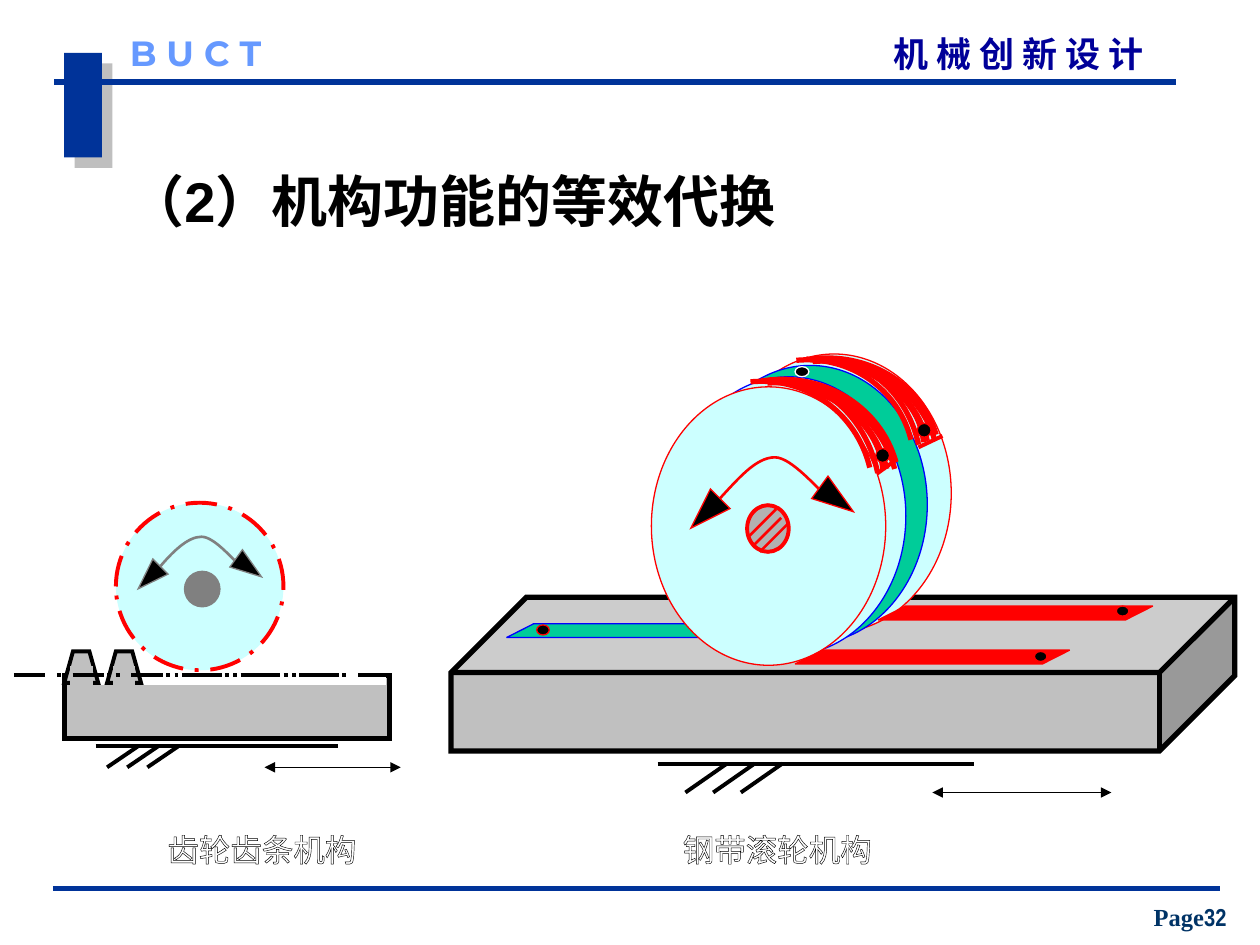
from dataclasses import dataclass

from lxml import etree
from pptx import Presentation
from pptx import util as u
from pptx.dml.color import RGBColor
from pptx.enum import dml, shapes, text
from pptx.oxml.ns import qn

PX = 9144  # EMU in one px, 100 px to the inch
BLACK, WHITE, RED, BLUE = "000000", "FFFFFF", "FF0000", "0000FF"
NAVY, GREY, SILVER, CYAN, GREEN = "003399", "808080", "C0C0C0", "CCFFFF", "00CC99"
CJK = "Noto Sans CJK SC"
Kind = shapes.MSO_SHAPE
Points = list[tuple[float, float]]


@dataclass
class Solid:
    kind: Kind
    x: int
    y: int
    width: int
    height: int
    fill: str
    line: str | None = RED
    weight: float = 0.75
    adjust: float | None = None
    turn: int = 0
    dashed: bool = False


@dataclass
class Span:
    words: str
    size: int
    font: str
    colour: str
    bold: bool = True
    outline: bool = False


@dataclass
class Label:
    x: int
    y: int
    width: int
    height: int
    spans: list[Span]
    inset: bool = True
    anchor: text.MSO_ANCHOR = text.MSO_ANCHOR.TOP
    align: text.PP_ALIGN = text.PP_ALIGN.LEFT


def rgb(colour: str) -> RGBColor:
    return RGBColor.from_string(colour)


def px(*lengths: float) -> list[int]:
    return [round(length * PX) for length in lengths]


def style_line(shape, colour: str, weight: float, dashed: bool = False) -> None:
    shape.line.color.rgb = rgb(colour)
    shape.line.width = u.Pt(weight)
    if dashed:
        shape.line.dash_style = dml.MSO_LINE.LONG_DASH_DOT
    etree.SubElement(shape._element.spPr.find(qn("a:ln")), qn("a:miter"), lim="800000")


def draw_solid(page, solid: Solid):
    shape = page.shapes.add_shape(solid.kind, *px(solid.x, solid.y, solid.width, solid.height))
    shape.shadow.inherit = False
    shape.fill.solid()
    shape.fill.fore_color.rgb = rgb(solid.fill)
    shape.rotation = solid.turn
    if solid.adjust is not None:
        shape.adjustments[0] = solid.adjust
    if solid.line:
        style_line(shape, solid.line, solid.weight, solid.dashed)
    else:
        shape.line.fill.background()
    return shape


def draw_line(page, x1: int, y1: int, x2: int, y2: int, colour: str = BLACK,
              weight: float = 2.25, dashed: bool = False, arrows: bool = False) -> None:
    line = page.shapes.add_connector(shapes.MSO_CONNECTOR.STRAIGHT, *px(x1, y1, x2, y2))
    style_line(line, colour, weight, dashed)
    properties = line._element.spPr
    if arrows:
        for end in ("a:headEnd", "a:tailEnd"):
            etree.SubElement(properties.find(qn("a:ln")), qn(end), type="triangle")
    etree.SubElement(properties, qn("a:effectLst"))


def draw_outline(page, points: Points, colour: str, weight: float, fill: str | None = None):
    corners = [tuple(px(*point)) for point in points]
    builder = page.shapes.build_freeform(*corners[0])
    builder.add_line_segments(corners[1:], close=fill is not None)
    shape = builder.convert_to_shape()
    shape.shadow.inherit = False
    if fill:
        shape.fill.solid()
        shape.fill.fore_color.rgb = rgb(fill)
    else:
        shape.fill.background()
    style_line(shape, colour, weight)
    return shape


def draw_curve(page, points: Points, colour: str, weight: float) -> None:
    """Draw cubic curves: a start, then two control points and an end for each."""
    shape = draw_outline(page, points, colour, weight)
    track = next(shape._element.iter(qn("a:path")))
    steps = track.findall(qn("a:lnTo"))
    for first in range(0, len(steps), 3):
        cubic = etree.SubElement(track, qn("a:cubicBezTo"))
        for step in steps[first:first + 3]:
            cubic.append(step[0])
            track.remove(step)


def draw_label(page, label: Label) -> None:
    box = page.shapes.add_textbox(*px(label.x, label.y, label.width, label.height))
    frame = box.text_frame
    frame.word_wrap = True
    frame.vertical_anchor = label.anchor
    frame.margin_left, frame.margin_top, frame.margin_right, frame.margin_bottom = (
        px(10, 5, 10, 5) if label.inset else px(0, 0, 0, 0))
    para = frame.paragraphs[0]
    para.alignment = label.align
    for item in label.spans:
        span = para.add_run()
        span.text = item.words
        span.font.name, span.font.size, span.font.bold = item.font, u.Pt(item.size), item.bold
        span.font.color.rgb = rgb(item.colour)
        properties = span.font._element
        properties.find(qn("a:latin")).addnext(etree.Element(qn("a:ea"), typeface=CJK))
        if item.outline:
            edge = etree.Element(qn("a:ln"), w=str(u.Pt(0.75)))
            paint = etree.SubElement(edge, qn("a:solidFill"))
            etree.SubElement(paint, qn("a:srgbClr"), val=BLACK)
            properties.insert(0, edge)


def draw_ground(page, left: int, right: int, y: int, hatch: int, step: int, run: int, drop: int) -> None:
    draw_line(page, left, y, right, y)
    for x in range(hatch, hatch + 3 * step, step):
        draw_line(page, x, y, x - run, y + drop)


def draw_swing(page, curve: Points, heads: list[tuple[int, int, int]], width: int,
               height: int, colour: str) -> None:
    """Curved double arrow showing that a wheel turns both ways."""
    draw_curve(page, curve, colour, 1.5)
    for x, y, turn in heads:
        draw_solid(page, Solid(Kind.ISOSCELES_TRIANGLE, x, y, width, height, BLACK, colour, turn=turn))


def draw_pin(page, x: int, y: int, height: int = 8, width: int = 10, line: str = RED) -> None:
    draw_solid(page, Solid(Kind.OVAL, x, y, width, height, BLACK, line))


def draw_frame(page) -> None:
    block = draw_solid(page, Solid(Kind.RECTANGLE, 51, 42, 30, 83, NAVY, None))
    effects = block._element.spPr.find(qn("a:effectLst"))
    shadow = etree.SubElement(effects, qn("a:outerShdw"), dist=str(u.Pt(8.5)), dir="2700000")
    tint = etree.SubElement(shadow, qn("a:srgbClr"), val=GREY)
    etree.SubElement(tint, qn("a:alpha"), val="50000")
    draw_line(page, 43, 65, 933, 65, NAVY, 3)
    draw_line(page, 42, 705, 968, 705, NAVY, 3)
    for label in (
        Label(709, 26, 245, 33, [Span("机 械 创 新 设 计", 20, CJK, "000099")], inset=False),
        Label(103, 25, 142, 33, [Span("B U C T", 20, "Montserrat", "6699FF")], inset=False),
        Label(897, 711, 95, 33, [Span("Page", 14, "Times New Roman", "003366"),
                                 Span("32", 14, "Arial Narrow", "003366")],
              anchor=text.MSO_ANCHOR.BOTTOM, align=text.PP_ALIGN.CENTER),
        Label(92, 133, 592, 51, [Span("（2）机构功能的等效代换", 32, "Arial", BLACK)],
              anchor=text.MSO_ANCHOR.MIDDLE),
    ):
        draw_label(page, label)


def draw_band_wheel(page) -> None:
    draw_solid(page, Solid(Kind.CUBE, 358, 474, 622, 122, SILVER, BLACK, 3, adjust=0.49))
    for x, y, fill, line in ((569, 281, CYAN, RED), (550, 290, GREEN, BLUE), (533, 299, CYAN, BLUE)):
        draw_solid(page, Solid(Kind.OVAL, x, y, 186, 221, fill, line))
    draw_line(page, 748, 346, 729, 355, RED)
    draw_pin(page, 631, 291, width=11, line=WHITE)
    draw_line(page, 711, 365, 696, 376, RED)
    for x, y, fill, line in ((697, 481, RED, RED), (631, 516, RED, RED), (402, 495, GREEN, BLUE)):
        draw_solid(page, Solid(Kind.PARALLELOGRAM, x, y, 218, 11, fill, line, adjust=1.97))
    draw_solid(page, Solid(Kind.OVAL, 517, 307, 186, 221, CYAN))
    for x, y in ((426, 496), (886, 481), (821, 517)):
        draw_pin(page, x, y)
    draw_ground(page, 522, 773, 606, hatch=577, step=22, run=33, drop=23)
    draw_solid(page, Solid(Kind.OVAL, 593, 401, 33, 37, "B2B2B2", RED, 2.25))
    for x, y in ((625, 416), (620, 411), (616, 404)):
        draw_line(page, x, y, x - 22, y + 22, RED, 1.5)
    swing = [(571, 396), (586, 380), (600, 363), (615, 363), (629, 363), (651, 391), (659, 396)]
    draw_swing(page, swing, [(549, 391, 225), (653, 380, 126)], 22, 33, RED)
    draw_line(page, 740, 629, 882, 629, weight=0.75, arrows=True)

    rear_band = [
        ((640, 285), (691, 287), (730, 315), (733, 351)),
        ((632, 286), (675, 282), (713, 309), (723, 349)),
        ((643, 285), (688, 279), (731, 304), (743, 345)),
        ((645, 286), (687, 283), (726, 310), (736, 350)),
        ((645, 287), (690, 283), (731, 310), (742, 350)),
        ((650, 286), (686, 283), (720, 311), (729, 353)),
    ]
    front_band = [[(604 + (x - 640) * 1.04, 302 + (y - 285) * 1.08) for x, y in arc]
                  for arc in rear_band]
    for band, pin in ((rear_band, (728, 336)), (front_band, (695, 356))):
        for arc in band:
            draw_curve(page, arc, RED, 3)
        draw_pin(page, *pin, width=11, height=11)


def draw_rack_and_gear(page) -> None:
    for solid in (
        Solid(Kind.OVAL, 92, 399, 133, 133, CYAN, RED, 2.25, dashed=True),
        Solid(Kind.RECTANGLE, 51, 536, 258, 50, SILVER, BLACK, 3),
        Solid(Kind.RECTANGLE, 56, 534, 250, 9, WHITE, WHITE),
    ):
        draw_solid(page, solid)
    draw_line(page, 51, 536, 310, 536, dashed=True)
    for x in (51, 85):
        draw_outline(page, [(x + 27, 542), (x + 20, 517), (x + 7, 517), (x, 542)], BLACK, 2.25, SILVER)
        draw_solid(page, Solid(Kind.RECTANGLE, x + 5, 529, 17, 25, SILVER, SILVER))
    draw_line(page, 210, 609, 318, 609, weight=0.75, arrows=True)
    draw_ground(page, 76, 268, 592, hatch=110, step=16, run=25, drop=17)
    draw_solid(page, Solid(Kind.OVAL, 148, 455, 25, 25, GREY, GREY, 3))
    swing = [(126, 451), (137, 438), (149, 426), (160, 426), (171, 426), (187, 447), (193, 451)]
    draw_swing(page, swing, [(110, 446, 225), (189, 438, 126)], 17, 25, GREY)
    draw_line(page, 11, 536, 269, 536, dashed=True)


def main() -> None:
    deck = Presentation()
    deck.slide_width, deck.slide_height = px(1000, 750)
    page = deck.slides.add_slide(deck.slide_layouts[6])
    draw_frame(page)
    draw_band_wheel(page)
    draw_rack_and_gear(page)
    for x, words in ((532, "钢带滚轮机构"), (123, "齿轮齿条机构")):
        draw_label(page, Label(x, 654, 175, 36, [Span(words, 18, CJK, WHITE, False, True)]))
    deck.save("out.pptx")


if __name__ == "__main__":
    main()
